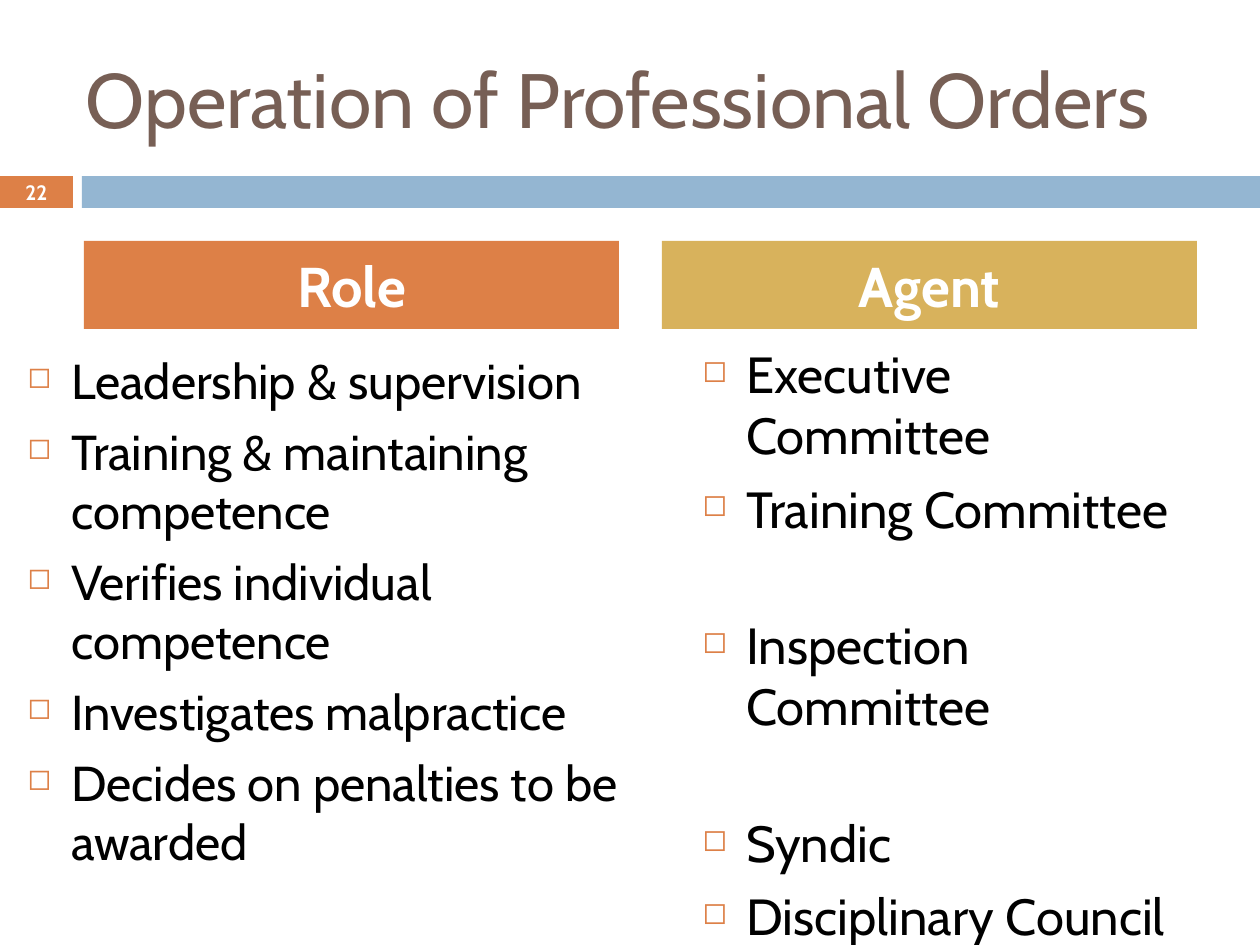
import dataclasses

import lxml.etree
import pptx
import pptx.dml.color
import pptx.enum.shapes
import pptx.enum.text
import pptx.oxml.ns
import pptx.util

PX = 914400 / 126
ALIGN = pptx.enum.text.PP_ALIGN
MIDDLE = pptx.enum.text.MSO_ANCHOR.MIDDLE
TOP = pptx.enum.text.MSO_ANCHOR.TOP


def px(length):
    return pptx.util.Emu(round(length * PX))


def rgb(code):
    return pptx.dml.color.RGBColor.from_string(code)


def set_values(target, values):
    for name, value in values.items():
        setattr(target, name, value)


@dataclasses.dataclass(frozen=True)
class Theme:
    font: str = "Cabin"
    brown: str = "775F55"
    orange: str = "DD8047"
    blue: str = "94B6D2"
    gold: str = "D8B25C"
    black: str = "000000"
    white: str = "FFFFFF"
    title_size: float = 44
    header_size: float = 32
    role_size: float = 28
    agent_size: float = 29
    number_size: float = 11.9
    item_gap: float = 7
    group_gap: float = 43.4


class SlideBuilder:
    def __init__(self, slide, theme):
        self.slide = slide
        self.theme = theme

    def place(self, shape, box):
        set_values(shape, dict(zip(("left", "top", "width", "height"), map(px, box))))

    def format_frame(self, frame, anchor):
        set_values(frame, {
            "word_wrap": True,
            "auto_size": pptx.enum.text.MSO_AUTO_SIZE.NONE,
            "vertical_anchor": anchor,
        })

    def fill_paragraph(self, paragraph, text, size, color, bold=False, align=ALIGN.LEFT):
        paragraph.text = text
        paragraph.alignment = align
        set_values(paragraph.font, {
            "name": self.theme.font,
            "size": pptx.util.Pt(size),
            "bold": bold,
        })
        paragraph.font.color.rgb = rgb(color)

    def title(self, text, box):
        shape = self.slide.shapes.title
        self.place(shape, box)
        self.format_frame(shape.text_frame, MIDDLE)
        self.fill_paragraph(shape.text_frame.paragraphs[0], text,
                            self.theme.title_size, self.theme.brown)

    def bar(self, box, fill, text="", size=None):
        shape = self.slide.shapes.add_shape(
            pptx.enum.shapes.MSO_SHAPE.RECTANGLE, *map(px, box))
        shape.shadow.inherit = False
        shape.fill.solid()
        shape.fill.fore_color.rgb = rgb(fill)
        shape.line.fill.background()
        if text:
            self.format_frame(shape.text_frame, MIDDLE)
            self.fill_paragraph(shape.text_frame.paragraphs[0], text, size,
                                self.theme.white, True, ALIGN.CENTER)

    def add_bullet(self, paragraph):
        properties = paragraph._p.get_or_add_pPr()
        indent = px(44)
        properties.set("marL", str(int(indent)))
        properties.set("indent", str(-int(indent)))
        qn = pptx.oxml.ns.qn
        color = lxml.etree.SubElement(properties, qn("a:buClr"))
        lxml.etree.SubElement(color, qn("a:srgbClr"), val=self.theme.orange)
        lxml.etree.SubElement(properties, qn("a:buSzPct"), val="60000")
        lxml.etree.SubElement(properties, qn("a:buChar"), char="◻")

    def bullets(self, box, groups, size):
        frame = self.slide.shapes.add_textbox(*map(px, box)).text_frame
        self.format_frame(frame, TOP)
        for group_index, group in enumerate(groups):
            for item_index, item in enumerate(group):
                first = group_index == item_index == 0
                paragraph = frame.paragraphs[0] if first else frame.add_paragraph()
                self.add_bullet(paragraph)
                self.fill_paragraph(paragraph, item, size, self.theme.black)
                if not first:
                    gap = self.theme.item_gap if item_index else self.theme.group_gap
                    paragraph.space_before = pptx.util.Pt(gap)


def main():
    presentation = pptx.Presentation()
    presentation.slide_width = px(1260)
    presentation.slide_height = px(945)
    slide = presentation.slides.add_slide(presentation.slide_layouts[5])
    theme = Theme()
    builder = SlideBuilder(slide, theme)

    # Title and the band with the slide number
    builder.title("Operation of Professional Orders", (73, 38, 1124, 120))
    builder.bar((0, 176, 73, 32), theme.orange, "22", theme.number_size)
    builder.bar((82, 176, 1178, 32), theme.blue)

    # Column headers
    headers = (("Role", theme.orange), ("Agent", theme.gold))
    for column, (text, fill) in enumerate(headers):
        builder.bar((84 + 578 * column, 241, 535, 88), fill, text, theme.header_size)

    # Roles
    roles = [[
        "Leadership & supervision",
        "Training & maintaining competence",
        "Verifies individual competence",
        "Investigates malpractice",
        "Decides on penalties to be awarded",
    ]]
    builder.bullets((15, 344, 645, 556), roles, theme.role_size)

    # Agents, spaced in groups to sit beside their roles
    agents = [
        ["Executive Committee", "Training Committee"],
        ["Inspection Committee"],
        ["Syndic", "Disciplinary Council"],
    ]
    builder.bullets((690, 337, 525, 533), agents, theme.agent_size)

    presentation.save("out.pptx")


if __name__ == "__main__":
    main()
